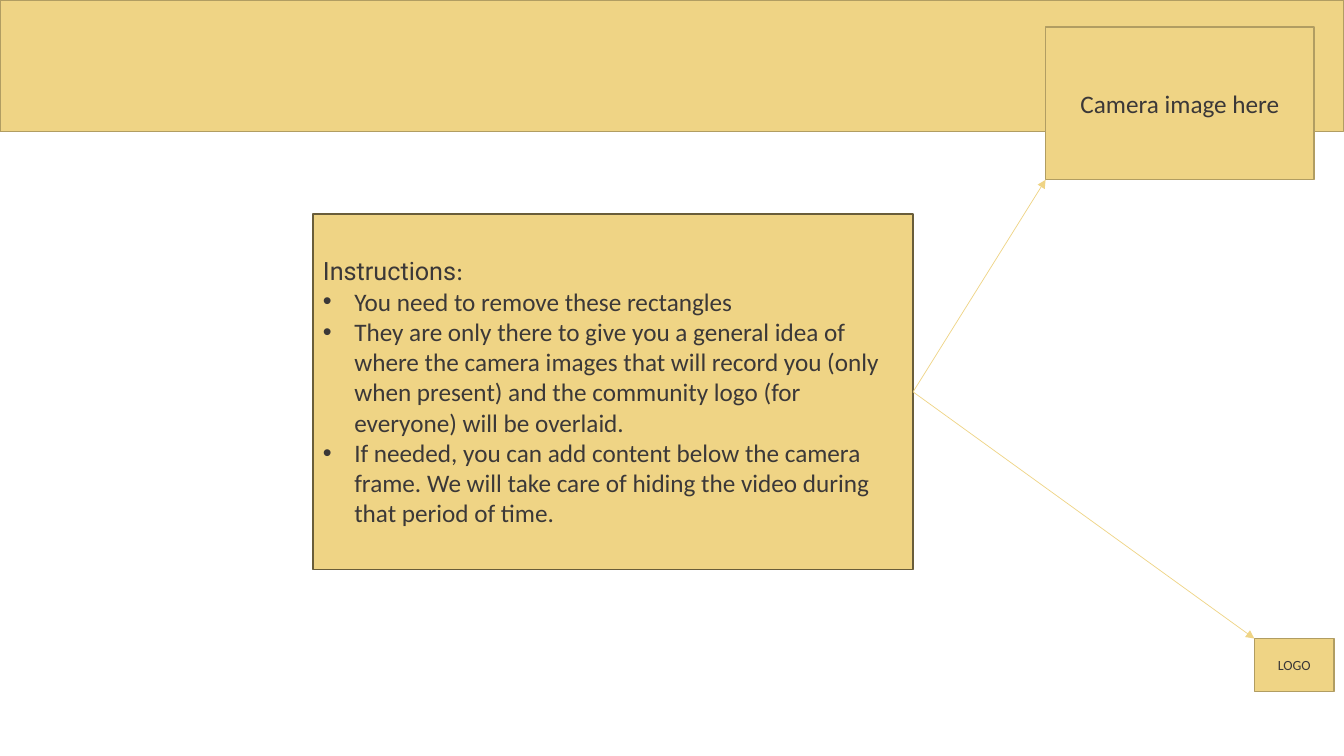
from lxml import etree
from pptx import Presentation, util as u
from pptx.dml.color import RGBColor
from pptx.enum import shapes, text
from pptx.oxml import ns

SAND = RGBColor(0xEF, 0xD4, 0x85)
OCHRE = RGBColor(0xB1, 0x9D, 0x62)
BROWN = RGBColor(0x69, 0x5D, 0x3A)
INK = RGBColor(0x3B, 0x38, 0x38)

# name: (left, top, width, height in cm, line colour)
BOXES = {
    "banner": (0, 0, 33.86, 3.32, OCHRE),
    "camera": (26.35, 0.68, 6.77, 3.85, OCHRE),
    "logo": (31.61, 16.09, 2.01, 1.33, OCHRE),
    "guide": (7.89, 5.39, 15.12, 8.97, BROWN),
}
LABELS = {"camera": ("Camera image here", 18), "logo": ("LOGO", 10)}
HEAD = [("Instructions", "Roboto"), (":", "Calibri")]
STEPS = [
    "You need to remove these rectangles",
    "They are only there to give you a general idea of where the camera "
    "images that will record you (only when present) and the community logo "
    "(for everyone) will be overlaid.",
    "If needed, you can add content below the camera frame. We will take "
    "care of hiding the video during that period of time.",
]
INDENT = u.Cm(0.79)


def add_box(slide, left, top, width, height, edge):
    box = slide.shapes.add_shape(
        shapes.MSO_SHAPE.RECTANGLE, *map(u.Cm, (left, top, width, height)))
    box.shadow.inherit = False
    box.fill.solid()
    box.fill.fore_color.rgb = SAND
    box.line.color.rgb = edge
    box.line.width = u.Pt(1)
    return box


def add_run(par, words, size=18, face="Calibri"):
    run = par.add_run()
    run.text = words
    for key, value in {"size": u.Pt(size), "name": face}.items():
        setattr(run.font, key, value)
    run.font.color.rgb = INK


def add_bullet(par):
    props = par._p.get_or_add_pPr()
    props.set("marL", str(INDENT))
    props.set("indent", str(-INDENT))
    etree.SubElement(props, ns.qn("a:buFont")).set("typeface", "Arial")
    etree.SubElement(props, ns.qn("a:buChar")).set("char", "•")


def add_arrow(slide, start, x, y):
    """Run an arrow from the right side of start to the point x, y."""
    arrow = slide.shapes.add_connector(
        shapes.MSO_CONNECTOR.STRAIGHT, start.left + start.width,
        start.top + start.height // 2, x, y)
    arrow.begin_connect(start, 3)
    arrow.line.color.rgb = SAND
    arrow.line.width = u.Pt(0.5)
    line = arrow.line._get_or_add_ln()
    etree.SubElement(line, ns.qn("a:tailEnd")).set("type", "triangle")
    etree.SubElement(arrow._element.spPr, ns.qn("a:effectLst"))


def main():
    deck = Presentation()
    deck.slide_width, deck.slide_height = u.Cm(33.87), u.Cm(19.05)
    slide = deck.slides.add_slide(deck.slide_layouts[6])
    boxes = {name: add_box(slide, *place) for name, place in BOXES.items()}

    for name, (words, size) in LABELS.items():
        par = boxes[name].text_frame.paragraphs[0]
        par.alignment = text.PP_ALIGN.CENTER
        add_run(par, words, size)

    guide, camera, logo = (boxes[n] for n in ("guide", "camera", "logo"))
    frame = guide.text_frame
    for words, face in HEAD:
        add_run(frame.paragraphs[0], words, face=face)
    for step in STEPS:
        par = frame.add_paragraph()
        add_bullet(par)
        add_run(par, step)
    for par in frame.paragraphs:
        par.alignment = text.PP_ALIGN.LEFT
    for box in (guide, camera, logo):
        box.text_frame.vertical_anchor = text.MSO_ANCHOR.MIDDLE

    add_arrow(slide, guide, camera.left, camera.top + camera.height)
    add_arrow(slide, guide, logo.left, logo.top)
    deck.save("out.pptx")


if __name__ == "__main__":
    main()
